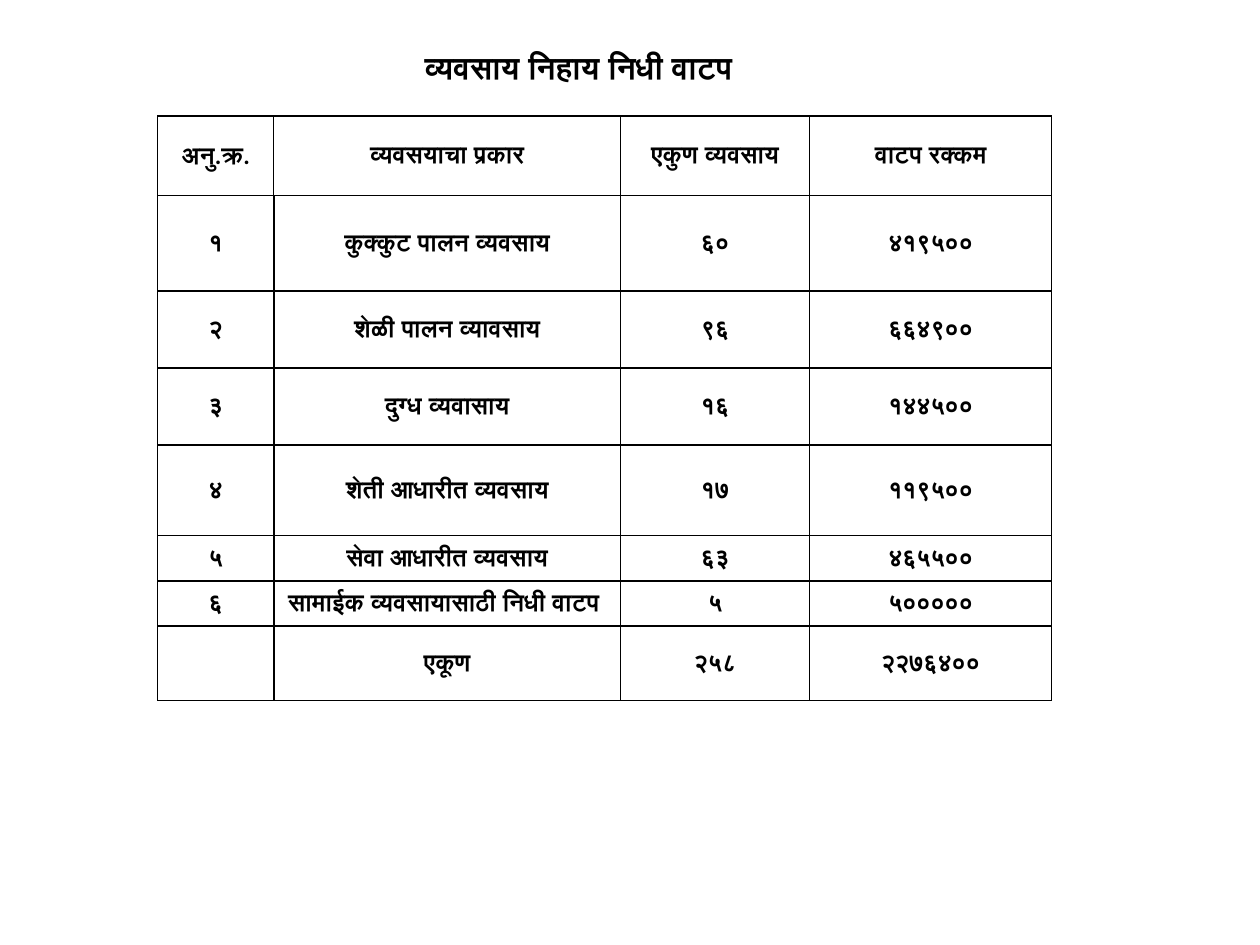
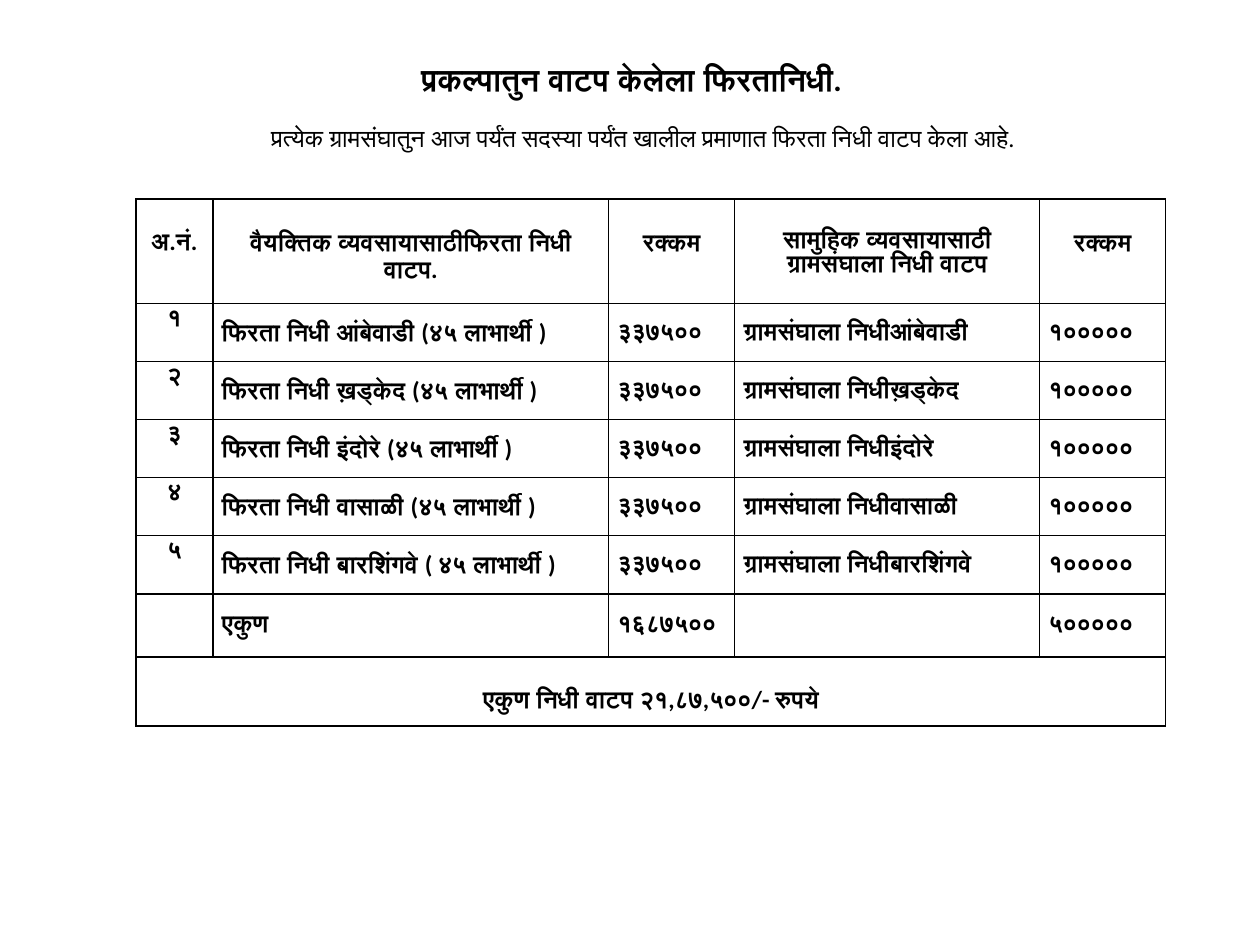
from lxml import etree
from pptx import Presentation
from pptx.dml.color import RGBColor
from pptx.enum.text import MSO_ANCHOR, PP_ALIGN
from pptx.oxml.ns import qn
from pptx.util import Cm, Pt

LEFT, CENTER = PP_ALIGN.LEFT, PP_ALIGN.CENTER
TOP, MIDDLE = MSO_ANCHOR.TOP, MSO_ANCHOR.MIDDLE
FONT, INK = "Calibri", "000000"
TITLE_SIZE, BODY_SIZE = 18, 14
LINE, THIN_LINE = 1, 0.5

BUSINESS_ROWS = [
    ("अनु.क्र.", "व्यवसयाचा प्रकार", "एकुण व्यवसाय", "वाटप रक्कम"),
    ("१", "कुक्कुट पालन व्यवसाय", "६०", "४१९५००"),
    ("२", "शेळी पालन व्यावसाय", "९६", "६६४९००"),
    ("३", "दुग्ध व्यवासाय", "१६", "१४४५००"),
    ("४", "शेती आधारीत व्यवसाय", "१७", "११९५००"),
    ("५", "सेवा आधारीत व्यवसाय", "६३", "४६५५००"),
    ("६", "सामाईक व्यवसायासाठी निधी वाटप ", "५", "५०००००"),
    ("", "एकूण", "२५८", "२२७६४००"),
]
FUND_HEADER = ("अ.नं.", "वैयक्तिक व्यवसायासाठीफिरता निधी वाटप.", "रक्कम",
               "सामुहिक व्यवसायासाठी ग्रामसंघाला निधी वाटप", "रक्कम")
VILLAGES = [("१", "आंबेवाडी", "(४५"), ("२", "ख़ड्केद", "(४५"), ("३", "इंदोरे", "(४५"),
            ("४", "वासाळी", "(४५"), ("५", "बारशिंगवे", "( ४५")]
FUND_ROWS = [
    FUND_HEADER,
    *[(number, f"फिरता निधी {village} {count} लाभार्थी )", "३३७५००",
       f"ग्रामसंघाला निधी{village}", "१०००००") for number, village, count in VILLAGES],
    ("", "एकुण", "१६८७५००", "", "५०००००"),
    ("एकुण निधी वाटप २१,८७,५००/- रुपये", "", "", "", ""),
]


def color(value):
    return RGBColor.from_string(value)


def write(p, text, size=BODY_SIZE, bold=True, align=CENTER):
    p.text = text
    p.alignment = align
    for r in p.runs:
        r.font.name = FONT
        r.font.size = Pt(size)
        r.font.bold = bold
        r.font.color.rgb = color(INK)


def add_heading(s, box, title, subtitle=None, margin_top=0.13):
    tf = s.shapes.add_textbox(*[Cm(v) for v in box]).text_frame
    tf.word_wrap = True
    tf.margin_top = Cm(margin_top)
    write(tf.paragraphs[0], title, TITLE_SIZE)
    if subtitle:
        p = tf.add_paragraph()
        p._p.get_or_add_pPr().set("marL", str(Cm(0.32)))
        p.space_before = Pt(14)
        write(p, subtitle, bold=False)


def set_borders(cell, widths):
    """Draw the left, right, top and bottom lines of a cell, in points."""
    tc_pr = cell._tc.get_or_add_tcPr()
    for side, width in zip("LRTB", widths):
        ln = etree.SubElement(tc_pr, qn(f"a:ln{side}"), w=str(Pt(width)))
        fill = etree.SubElement(ln, qn("a:solidFill"))
        etree.SubElement(fill, qn("a:srgbClr"), val=INK)


def add_grid(s, left, top, col_widths, row_heights, rows, margins, header_line=LINE):
    """Add a ruled, unfilled table; header_line is the width of lines inside the header."""
    frame = s.shapes.add_table(len(rows), len(col_widths), Cm(left), Cm(top),
                               Cm(sum(col_widths)), Cm(sum(row_heights)))
    table = frame.table
    table.first_row = table.horz_banding = False
    for column, width in zip(table.columns, col_widths):
        column.width = Cm(width)
    for row, height in zip(table.rows, row_heights):
        row.height = Cm(height)
    last = len(col_widths) - 1
    for i, texts in enumerate(rows):
        for j, text in enumerate(texts):
            cell = table.cell(i, j)
            inner = header_line if i == 0 else LINE
            set_borders(cell, (inner if j else LINE, inner if j < last else LINE,
                               header_line if i == 1 else LINE, inner))
            cell.fill.background()
            cell.margin_left = cell.margin_right = Cm(margins[0])
            cell.margin_top, cell.margin_bottom = Cm(margins[1]), 0
            cell.vertical_anchor = MIDDLE
            if text:
                write(cell.text_frame.paragraphs[0], text)
    return table


def align_top(cell, margin_top=0.0):
    cell.vertical_anchor = TOP
    cell.margin_top = Cm(margin_top)
    cell.text_frame.paragraphs[0].line_spacing = Pt(16)


def build_business_slide(s):
    add_heading(s, (6.99, 0.84, 9.52, 1.02), "व्यवसाय निहाय निधी वाटप ")
    add_grid(s, 3.18, 2.34, (2.34, 6.99, 3.81, 4.88),
             (1.6, 1.93, 1.55, 1.55, 1.83, 0.91, 0.91, 1.5),
             BUSINESS_ROWS, (0.03, 0.03), THIN_LINE)


def build_fund_slide(s):
    add_heading(s, (2.54, 0.05, 20.52, 3.84), "प्रकल्पातुन वाटप केलेला फिरतानिधी. ",
                "प्रत्येक ग्रामसंघातुन आज पर्यंत सदस्या पर्यंत खालील प्रमाणात फिरता निधी वाटप केला आहे.",
                margin_top=1.17)
    heights = [2.11] + [1.17] * len(VILLAGES) + [1.27, 1.4]
    table = add_grid(s, 2.74, 4.01, (1.55, 7.98, 2.54, 6.15, 2.54), heights,
                     FUND_ROWS, (0.18, 0))
    last_row, last_col = len(FUND_ROWS) - 1, len(FUND_HEADER) - 1
    for j in range(last_col + 1):
        align_top(table.cell(0, j), 0.6)
    table.cell(0, 3).text_frame.paragraphs[0].line_spacing = Pt(14)
    for i in range(1, last_row):
        align_top(table.cell(i, 0))
        for j in range(1, last_col + 1):
            table.cell(i, j).text_frame.paragraphs[0].alignment = LEFT
    total = table.cell(last_row, 0)
    total.merge(table.cell(last_row, last_col))
    align_top(total, 0.6)


def main():
    prs = Presentation()
    prs.slide_width, prs.slide_height = Cm(25.4), Cm(19.05)
    for build in (build_business_slide, build_fund_slide):
        build(prs.slides.add_slide(prs.slide_layouts[6]))
    prs.save("out.pptx")


if __name__ == "__main__":
    main()
